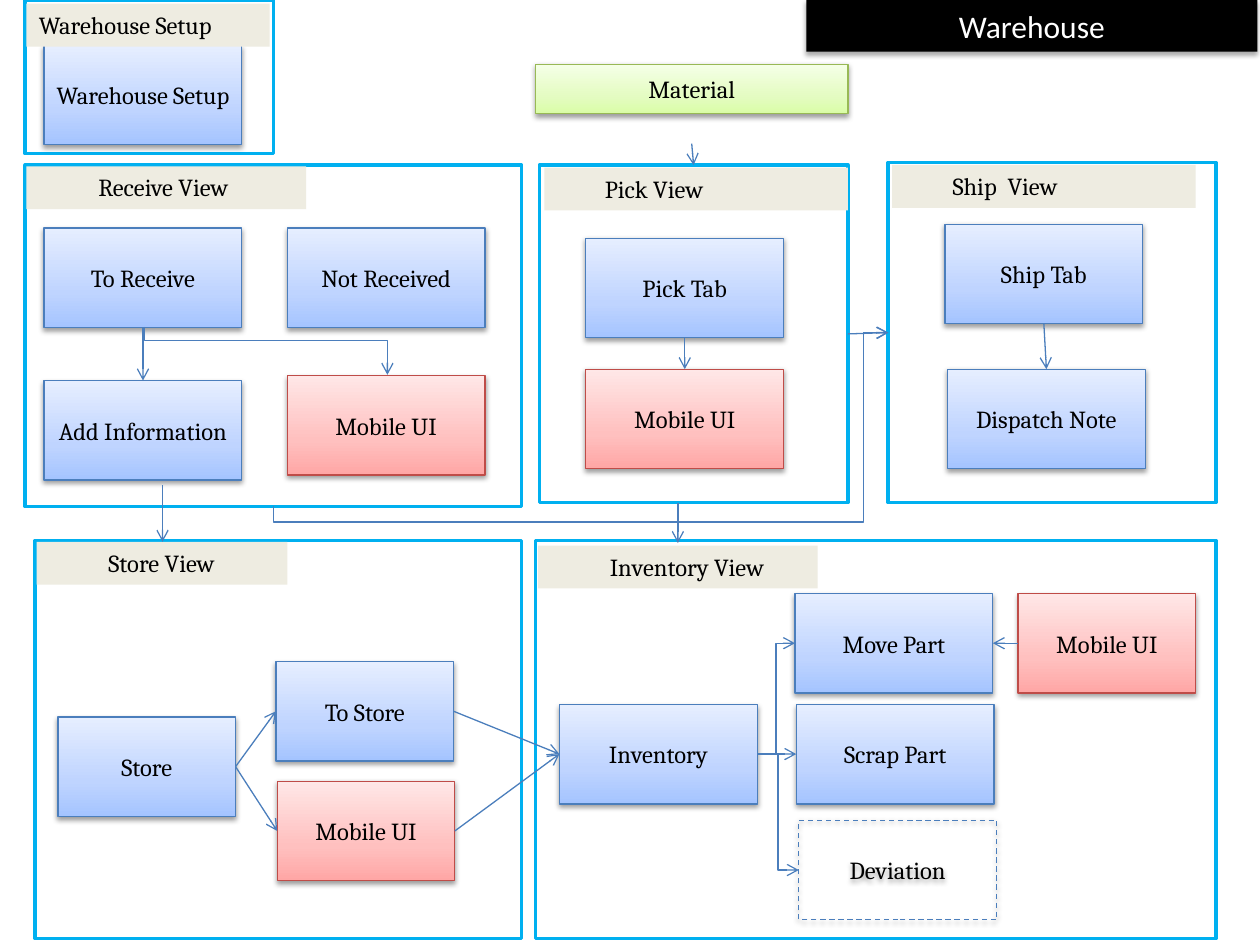
from dataclasses import dataclass

import lxml.etree
import pptx
import pptx.dml.color
import pptx.enum.dml
import pptx.enum.shapes
import pptx.enum.text
import pptx.oxml.ns
import pptx.util

Inches, Pt = pptx.util.Inches, pptx.util.Pt
RGB = pptx.dml.color.RGBColor.from_string
qn = pptx.oxml.ns.qn
RECT = pptx.enum.shapes.MSO_SHAPE.RECTANGLE
LINK = pptx.enum.shapes.MSO_CONNECTOR
ALIGN = pptx.enum.text.PP_ALIGN
TOP, LEFT, BOTTOM, RIGHT = range(4)


@dataclass
class Theme:
    head: str = "Calibri"
    body: str = "Cambria"
    big: int = 18
    size: int = 14
    ink: str = "000000"
    paper: str = "FFFFFF"
    frame: str = "00B0F0"
    label: str = "EEECE1"
    edge: str = "4B7EBC"
    thin: float = 0.75
    thick: float = 2
    blue: tuple = ("4B7EBC", "A4C4FF", "BFD4FF", "E6EEFF")
    red: tuple = ("BF4C48", "FFA6A5", "FFC0BF", "FFE7E7")
    green: tuple = ("98B955", "DAFDA7", "E4FCC2", "F5FFE7")


class Board:
    """Draws the parts of a flow map on one slide in one style."""

    def __init__(self, slide, theme):
        self.slide = slide
        self.theme = theme

    def text(self, shape, words, font, size, color, align):
        para = shape.text_frame.paragraphs[0]
        para.alignment = align
        run = para.add_run()
        run.text = words
        run.font.name, run.font.size = font, Pt(size)
        run.font.color.rgb = RGB(color)

    def shade(self, shape, alpha, dist):
        shape.shadow.inherit = False
        glow = lxml.etree.SubElement(
            shape.element.spPr.find(qn("a:effectLst")), qn("a:outerShdw"),
            blurRad=str(Pt(3.1)), dist=str(Pt(dist)), dir="5400000",
            rotWithShape="0")
        tint = lxml.etree.SubElement(glow, qn("a:srgbClr"), val=self.theme.ink)
        lxml.etree.SubElement(tint, qn("a:alpha"), val=str(alpha * 1000))

    def blend(self, fill, shape, colors):
        fill.gradient()
        fill.gradient_angle = 90
        stops = shape.element.spPr.find(".//" + qn("a:gsLst"))
        lxml.etree.SubElement(stops, qn("a:gs"), pos="100000").append(
            lxml.etree.Element(qn("a:srgbClr"), val=colors[-1]))
        for stop, spot, color in zip(fill.gradient_stops, (0, 0.35, 1), colors):
            stop.position = spot
            stop.color.rgb = RGB(color)

    def rect(self, x, y, w, h, color, width):
        shape = self.slide.shapes.add_shape(
            RECT, Inches(x), Inches(y), Inches(w), Inches(h))
        shape.shadow.inherit = False
        shape.fill.background()
        shape.line.color.rgb = RGB(color)
        shape.line.width = Pt(width)
        return shape

    def title(self, words, x, y, w, h):
        shape, look = self.slide.shapes.title, self.theme
        shape.left, shape.top = Inches(x), Inches(y)
        shape.width, shape.height = Inches(w), Inches(h)
        shape.fill.solid()
        shape.fill.fore_color.rgb = RGB(look.ink)
        self.shade(shape, 35, 1.8)
        frame = shape.text_frame
        frame.auto_size = pptx.enum.text.MSO_AUTO_SIZE.NONE
        frame.vertical_anchor = pptx.enum.text.MSO_ANCHOR.MIDDLE
        self.text(shape, words, look.head, look.big, look.paper, ALIGN.CENTER)

    def frame(self, x, y, w, h):
        return self.rect(x, y, w, h, self.theme.frame, self.theme.thick)

    def label(self, words, x, y, w, inset=0.1):
        look = self.theme
        shape = self.slide.shapes.add_textbox(
            Inches(x), Inches(y), Inches(w), Inches(0.34))
        shape.fill.solid()
        shape.fill.fore_color.rgb = RGB(look.label)
        shape.text_frame.word_wrap = True
        shape.text_frame.auto_size = pptx.enum.text.MSO_AUTO_SIZE.SHAPE_TO_FIT_TEXT
        shape.text_frame.margin_left = Inches(inset)
        self.text(shape, words, look.body, look.size, look.ink, ALIGN.LEFT)

    def box(self, words, x, y, w=1.57, h=0.79, tone=None, plain=False):
        look = self.theme
        tone = tone or look.blue
        shape = self.rect(x, y, w, h, tone[0], look.thin)
        if plain:
            shape.line.dash_style = pptx.enum.dml.MSO_LINE.DASH
        else:
            self.blend(shape.fill, shape, tone[1:])
        self.shade(shape, 38, 1.6)
        frame = shape.text_frame
        frame.margin_left = frame.margin_right = Inches(0.05)
        frame.vertical_anchor = pptx.enum.text.MSO_ANCHOR.MIDDLE
        self.text(shape, words, look.body, look.size, look.ink, ALIGN.CENTER)
        return shape

    def arrow(self, x, y, right, low, kind=LINK.STRAIGHT):
        line = self.slide.shapes.add_connector(
            kind, Inches(x), Inches(y), Inches(right), Inches(low))
        line.line.color.rgb = RGB(self.theme.edge)
        line.line.width = Pt(self.theme.thin)
        props = line.element.spPr
        lxml.etree.SubElement(props.find(qn("a:ln")), qn("a:tailEnd"), type="arrow")
        lxml.etree.SubElement(props, qn("a:effectLst"))
        return line

    def link(self, start, out, end, into, kind=LINK.STRAIGHT):
        line = self.arrow(0, 0, 0, 0, kind)
        line.begin_connect(start, out)
        line.end_connect(end, into)

    def elbow(self, x, y, w, h, turn, flips, bends):
        props = self.arrow(x, y, x + w, y + h, LINK.ELBOW).element.spPr
        place = props.find(qn("a:xfrm"))
        place.set("rot", str(turn * 60000))
        for flip in flips:
            place.set("flip" + flip, "1")
        geom = props.find(qn("a:prstGeom"))
        geom.set("prst", f"bentConnector{len(bends) + 2}")
        guides = geom.find(qn("a:avLst"))
        if guides is None:
            guides = lxml.etree.SubElement(geom, qn("a:avLst"))
        for count, bend in enumerate(bends, 1):
            name = f"adj{count}" if len(bends) > 1 else "adj1"
            lxml.etree.SubElement(guides, qn("a:gd"), name=name,
                                  fmla=f"val {round(bend * 100000)}")


def main():
    deck = pptx.Presentation()
    deck.slide_width, deck.slide_height = Inches(10), Inches(7.5)
    look = Theme()
    board = Board(deck.slides.add_slide(deck.slide_layouts[5]), look)
    board.title("Warehouse", 6.4, 0, 3.58, 0.41)
    board.box("Material", 4.25, 0.51, 2.48, 0.39, look.green)

    board.frame(0.2, 0, 1.97, 1.22)
    board.box("Warehouse Setup", 0.35, 0.36)
    board.label("Warehouse Setup", 0.21, 0.03, 1.93)

    board.frame(0.2, 1.31, 3.94, 2.71)
    board.label("Receive View", 0.21, 1.32, 2.22, 0.57)
    receive = board.box("To Receive", 0.35, 1.81)
    board.box("Not Received", 2.28, 1.81)
    info = board.box("Add Information", 0.35, 3.02)
    board.box("Mobile UI", 2.28, 2.98, tone=look.red)

    pick = board.frame(4.28, 1.31, 2.45, 2.68)
    board.label("Pick View", 4.32, 1.33, 2.41, 0.48)
    picktab = board.box("Pick Tab", 4.65, 1.89)
    pickui = board.box("Mobile UI", 4.65, 2.93, tone=look.red)

    ship = board.frame(7.05, 1.29, 2.6, 2.7)
    board.label("Ship  View", 7.08, 1.31, 2.41, 0.48)
    shiptab = board.box("Ship Tab", 7.5, 1.78)
    note = board.box("Dispatch Note", 7.52, 2.93)

    board.frame(0.28, 4.29, 3.86, 3.16)
    board.label("Store View", 0.29, 4.3, 1.99, 0.57)
    store = board.box("Store", 0.46, 5.69, 1.41)
    tostore = board.box("To Store", 2.19, 5.25, 1.41)
    storeui = board.box("Mobile UI", 2.2, 6.2, 1.41, tone=look.red)

    board.frame(4.25, 4.29, 5.4, 3.16)
    board.label("Inventory View", 4.27, 4.33, 2.22, 0.57)
    stock = board.box("Inventory", 4.44, 5.59)
    move = board.box("Move Part", 6.31, 4.71)
    scrap = board.box("Scrap Part", 6.32, 5.59)
    stray = board.box("Deviation", 6.34, 6.51, plain=True)
    moveui = board.box("Mobile UI", 8.08, 4.71, 1.41, tone=look.red)

    for start, end in ((receive, info), (picktab, pickui), (shiptab, note)):
        board.link(start, BOTTOM, end, TOP)
    for start, end in ((pick, ship), (store, tostore), (store, storeui),
                       (tostore, stock), (storeui, stock), (stock, scrap)):
        board.link(start, RIGHT, end, LEFT)
    for end in (move, stray):
        board.link(stock, RIGHT, end, LEFT, LINK.ELBOW)
    board.link(moveui, LEFT, move, RIGHT)
    board.arrow(5.49, 1.14, 5.51, 1.31).end_connect(pick, TOP)
    board.arrow(1.29, 3.85, 1.29, 4.3)
    board.arrow(5.38, 3.99, 5.38, 4.31)
    board.elbow(1.92, 1.82, 0.38, 1.93, 270, "H", [0.29])
    board.elbow(3.92, 0.89, 1.38, 4.88, 90, "HV", [-0.09, 0.96])
    deck.save("out.pptx")


if __name__ == "__main__":
    main()
